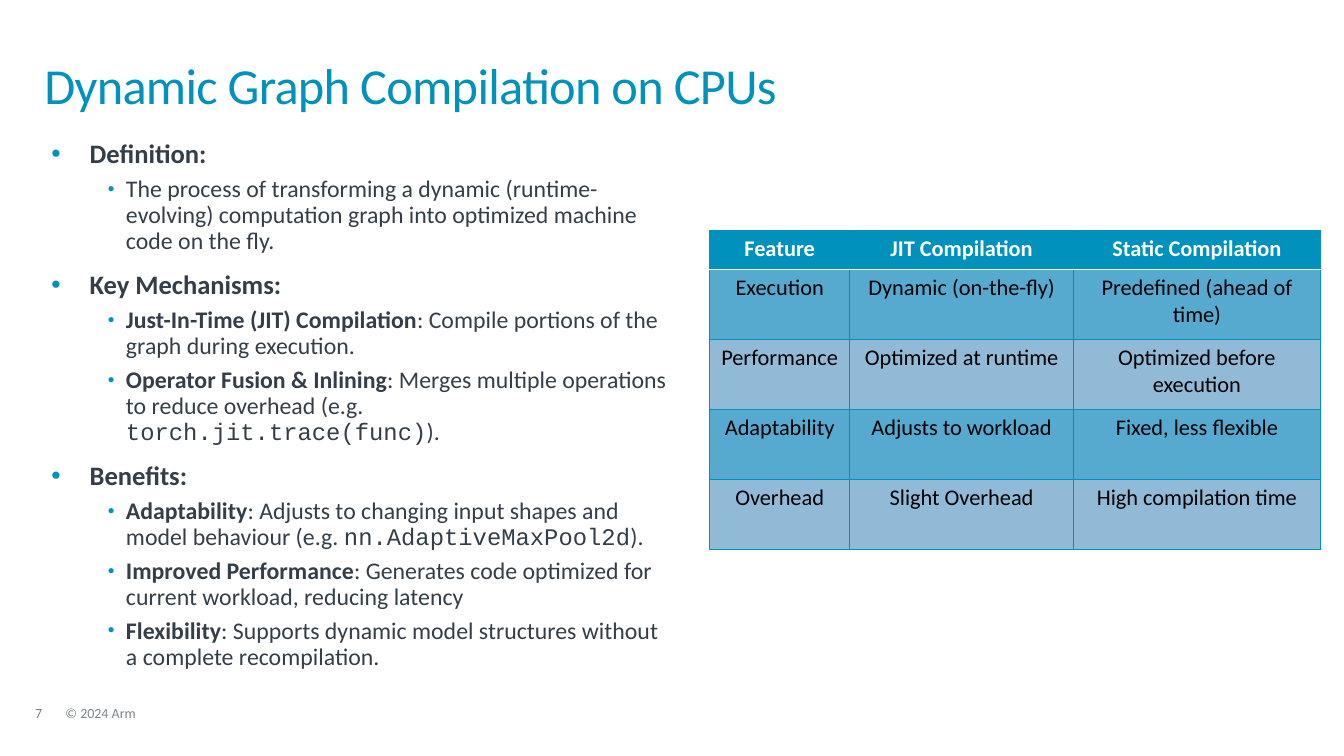
"""Build the slide on dynamic graph compilation."""
from lxml.etree import SubElement
from pptx import Presentation
from pptx.dml.color import RGBColor
from pptx.enum.text import MSO_ANCHOR, MSO_AUTO_SIZE, PP_ALIGN
from pptx.oxml.ns import qn
from pptx.util import Pt

BLUE, DARK, WHITE, BLACK = "0091BD", "333E48", "FFFFFF", "000000"
BANDS = ["56A9CF", "91BAD7"]
TITLE = "Dynamic Graph Compilation on CPUs"
FOOT = [("7", 25.2, 24.5, "7F7F7F"), ("© 2024 Arm", 46.8, 365, "7D868C")]
BOLD, MONO = {"bold": True}, {"face": "Courier New"}
LIST = [
    (0, [("Definition:", BOLD)]),
    (1, [("The process of transforming a dynamic (runtime-evolving) "
          "computation graph into optimized machine code on the fly.", {})]),
    (0, [("Key Mechanisms:", BOLD)]),
    (1, [("Just-In-Time (JIT) Compilation", BOLD),
         (": Compile portions of the graph during execution.", {})]),
    (1, [("Operator Fusion & Inlining", BOLD),
         (": Merges multiple operations to reduce overhead (e.g. ", {}),
         ("torch.jit.trace(func)", MONO), (").", {})]),
    (0, [("Benefits:", BOLD)]),
    (1, [("Adaptability", BOLD),
         (": Adjusts to changing input shapes and model behaviour (e.g. ", {}),
         ("nn.AdaptiveMaxPool2d", MONO), (").", {})]),
    (1, [("Improved Performance", BOLD),
         (": Generates code optimized for current workload, reducing latency", {})]),
    (1, [("Flexibility", BOLD),
         (": Supports dynamic model structures without a complete recompilation.", {})]),
]
LEVELS = [
    {"size": 19, "left": 27.36, "hang": 27.36, "before": 6, "scale": 100},
    {"size": 17, "left": 53.28, "hang": 12.96, "before": 0, "scale": 80},
]
GRID = [
    ("Feature", "JIT Compilation", "Static Compilation"),
    ("Execution", "Dynamic (on-the-fly)", "Predefined (ahead of time)"),
    ("Performance", "Optimized at runtime", "Optimized before execution"),
    ("Adaptability", "Adjusts to workload", "Fixed, less flexible"),
    ("Overhead", "Slight Overhead", "High compilation time"),
]
WIDTHS = [100.1, 159.8, 176.4]
HEAD, ROW = 28.1, 50


def paint(text):
    return RGBColor.from_string(text)


def say(para, text, size=17, color=DARK, bold=False, face="Calibri", space=None):
    run = para.add_run()
    run.text = text
    font = run.font
    font.size, font.bold, font.name = Pt(size), bold, face
    font.color.rgb = paint(color)
    if space is not None:
        font._element.set("spc", str(space))


def place(shape, left, top, width, height):
    shape.left, shape.top = Pt(left), Pt(top)
    shape.width, shape.height = Pt(width), Pt(height)


def frame(shape, anchor=MSO_ANCHOR.TOP):
    box = shape.text_frame
    box.word_wrap, box.auto_size = True, MSO_AUTO_SIZE.NONE
    box.vertical_anchor = anchor
    box.margin_left = box.margin_right = box.margin_top = box.margin_bottom = 0
    return box


def pace(para, line=0.9, before=0, after=6):
    para.line_spacing = line
    para.space_before, para.space_after = Pt(before), Pt(after)


def bullet(para, left, hang, scale):
    props = para._p.get_or_add_pPr()
    props.set("marL", str(Pt(left)))
    props.set("indent", str(-Pt(hang)))
    SubElement(SubElement(props, qn("a:buClr")), qn("a:srgbClr"), val=BLUE)
    SubElement(props, qn("a:buSzPct"), val=str(scale * 1000))
    SubElement(props, qn("a:buFont"), typeface="Arial")
    SubElement(props, qn("a:buChar"), char="•")


def border(cell, side, color, width):
    line = SubElement(cell._tc.get_or_add_tcPr(), qn("a:ln" + side), w=str(Pt(width)))
    SubElement(SubElement(line, qn("a:solidFill")), qn("a:srgbClr"), val=color)


def add_title(slide):
    title = slide.shapes.title
    place(title, 31.7, 37.4, 884.2, 51.8)
    para = frame(title, MSO_ANCHOR.MIDDLE).paragraphs[0]
    para.alignment = PP_ALIGN.LEFT
    pace(para, line=0.85, after=0)
    say(para, TITLE, size=36, color=BLUE, space=-50)


def add_list(slide):
    body = slide.placeholders[1]
    place(body, 36.7, 100.1, 443.5, 389.5)
    box = frame(body)
    for i, (level, runs) in enumerate(LIST):
        para = box.add_paragraph() if i else box.paragraphs[0]
        look = LEVELS[level]
        para.level = level
        pace(para, before=look["before"] if i else 0)
        bullet(para, look["left"], look["hang"], look["scale"])
        for text, style in runs:
            say(para, text, size=look["size"], **style)


def add_grid(slide):
    table = slide.shapes.add_table(
        len(GRID), len(WIDTHS), Pt(506.9), Pt(164.2),
        Pt(sum(WIDTHS)), Pt(HEAD + ROW * (len(GRID) - 1))).table
    table.horz_banding = False
    for col, width in zip(table.columns, WIDTHS):
        col.width = Pt(width)
    for r, texts in enumerate(GRID):
        table.rows[r].height = Pt(ROW if r else HEAD)
        for c, text in enumerate(texts):
            cell = table.cell(r, c)
            for side in "LRTB":
                seam = (r, side) in [(0, "B"), (1, "T")]
                border(cell, side, *((WHITE, 1) if seam else (BLUE, 0.5)))
            cell.fill.solid()
            cell.fill.fore_color.rgb = paint(BANDS[(r - 1) % 2] if r else BLUE)
            para = cell.text_frame.paragraphs[0]
            para.alignment = PP_ALIGN.CENTER
            say(para, text, size=16, color=BLACK if r else WHITE, bold=r == 0)


def add_foot(slide):
    for text, left, width, color in FOOT:
        box = slide.shapes.add_textbox(Pt(left), Pt(504.7), Pt(width), Pt(10.8))
        para = frame(box).paragraphs[0]
        pace(para)
        say(para, text, size=10, color=color)


def main():
    deck = Presentation()
    deck.slide_width, deck.slide_height = Pt(960), Pt(540)
    slide = deck.slides.add_slide(deck.slide_layouts[1])
    add_foot(slide)
    add_title(slide)
    add_list(slide)
    add_grid(slide)
    deck.save("out.pptx")


if __name__ == "__main__":
    main()
